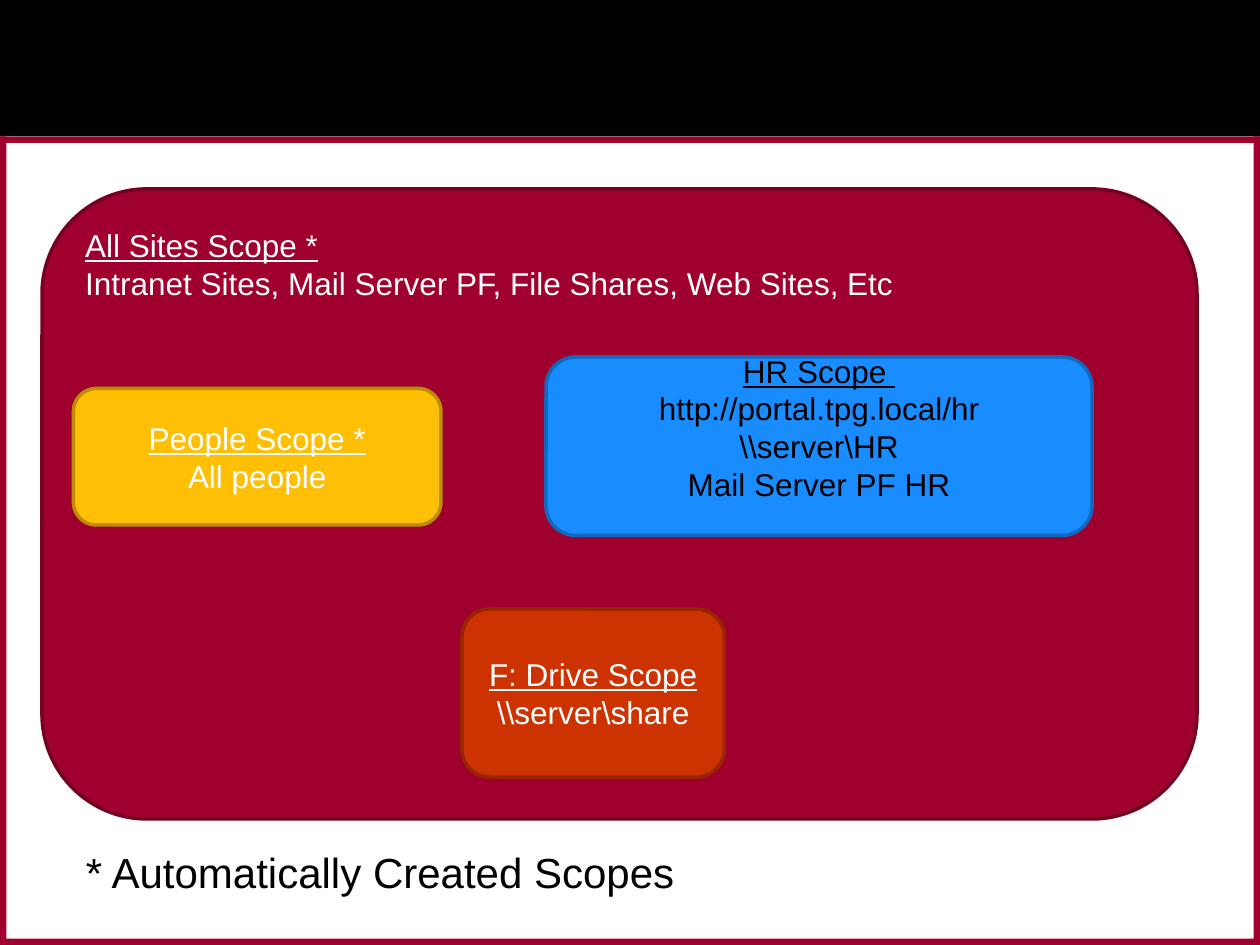
from dataclasses import dataclass

from pptx import Presentation
from pptx.dml.color import RGBColor
from pptx.enum.shapes import MSO_SHAPE as Shape
from pptx.enum.text import MSO_ANCHOR as Anchor, PP_ALIGN as Align
from pptx.util import Inches, Pt

WIDE, HIGH = Inches(10), Inches(7.5)
COLS, ROWS = 120, 90
HEAD = 13    # rows of the black header
EDGE = 0.6   # thickness of the frame, in grid units

BLACK = RGBColor(0x00, 0x00, 0x00)
WHITE = RGBColor(0xFF, 0xFF, 0xFF)
WINE = RGBColor(0x9F, 0x00, 0x2D)
PLUM = RGBColor(0x76, 0x00, 0x21)
RUST = RGBColor(0xCC, 0x33, 0x00)
BROWN = RGBColor(0x97, 0x26, 0x00)
BLUE = RGBColor(0x19, 0x8C, 0xFF)
NAVY = RGBColor(0x12, 0x68, 0xBD)
GOLD = RGBColor(0xFF, 0xBF, 0x05)
OCHRE = RGBColor(0xBD, 0x8D, 0x04)


@dataclass(frozen=True)
class Area:
    col: float
    row: float
    cols: float
    rows: float

    def box(self) -> tuple[int, int, int, int]:
        return (int(WIDE * self.col / COLS), int(HIGH * self.row / ROWS),
                int(WIDE * self.cols / COLS), int(HIGH * self.rows / ROWS))


@dataclass(frozen=True)
class Scope:
    area: Area
    fill: RGBColor
    edge: RGBColor
    name: str
    lines: tuple[str, ...]
    ink: RGBColor = WHITE
    align: Align = Align.CENTER
    anchor: Anchor = Anchor.MIDDLE
    foot: float = 0.05   # bottom inset in inches


BARS = [
    (Area(0, 0, COLS, HEAD), BLACK),
    (Area(0, HEAD, COLS, EDGE), WINE),
    (Area(0, ROWS - EDGE, COLS, EDGE), WINE),
    (Area(COLS - EDGE, HEAD, EDGE, ROWS - HEAD), WINE),
    (Area(0, HEAD, EDGE, ROWS - HEAD), WINE),
]

SCOPES = [
    Scope(Area(4, 18, 110, 60), WINE, PLUM, "All Sites Scope *",
          ("Intranet Sites, Mail Server PF, File Shares, Web Sites, Etc",),
          align=Align.LEFT, anchor=Anchor.TOP),
    Scope(Area(44, 58, 25, 16), RUST, BROWN, "F: Drive Scope",
          (r"\\server\share",)),
    Scope(Area(52, 34, 52, 17), BLUE, NAVY, "HR Scope ",
          ("http://portal.tpg.local/hr", r"\\server\HR", "Mail Server PF HR"),
          ink=BLACK, foot=0.35),
    Scope(Area(7, 37, 35, 13), GOLD, OCHRE, "People Scope *",
          ("All people",)),
]


def add_run(para, text: str, size: int, ink: RGBColor, under: bool = False) -> None:
    run = para.add_run()
    run.text = text
    font = run.font
    font.name, font.size, font.underline = "Arial", Pt(size), under
    font.color.rgb = ink


def add_block(slide, kind: Shape, area: Area, fill: RGBColor):
    block = slide.shapes.add_shape(kind, *area.box())
    block.shadow.inherit = False
    block.fill.solid()
    block.fill.fore_color.rgb = fill
    block.line.fill.background()
    return block


def add_scope(slide, scope: Scope) -> None:
    block = add_block(slide, Shape.ROUNDED_RECTANGLE, scope.area, scope.fill)
    block.line.color.rgb = scope.edge
    block.line.width = Pt(2)
    frame = block.text_frame
    frame.word_wrap = True
    frame.vertical_anchor = scope.anchor
    frame.margin_bottom = Inches(scope.foot)
    for i, text in enumerate((scope.name, *scope.lines)):
        para = frame.add_paragraph() if i else frame.paragraphs[0]
        para.alignment = scope.align
        add_run(para, text, 18, scope.ink, under=i == 0)


def add_note(slide, area: Area, text: str) -> None:
    frame = slide.shapes.add_textbox(*area.box()).text_frame
    frame.word_wrap = True
    add_run(frame.paragraphs[0], text, 24, BLACK)


def main() -> None:
    deck = Presentation()
    deck.slide_width, deck.slide_height = WIDE, HIGH
    slide = deck.slides.add_slide(deck.slide_layouts.get_by_name("Blank"))
    for area, fill in BARS:
        add_block(slide, Shape.RECTANGLE, area, fill)
    for scope in SCOPES:
        add_scope(slide, scope)
    add_note(slide, Area(7, 80, 83, 6), "* Automatically Created Scopes")
    deck.save("out.pptx")


if __name__ == "__main__":
    main()
